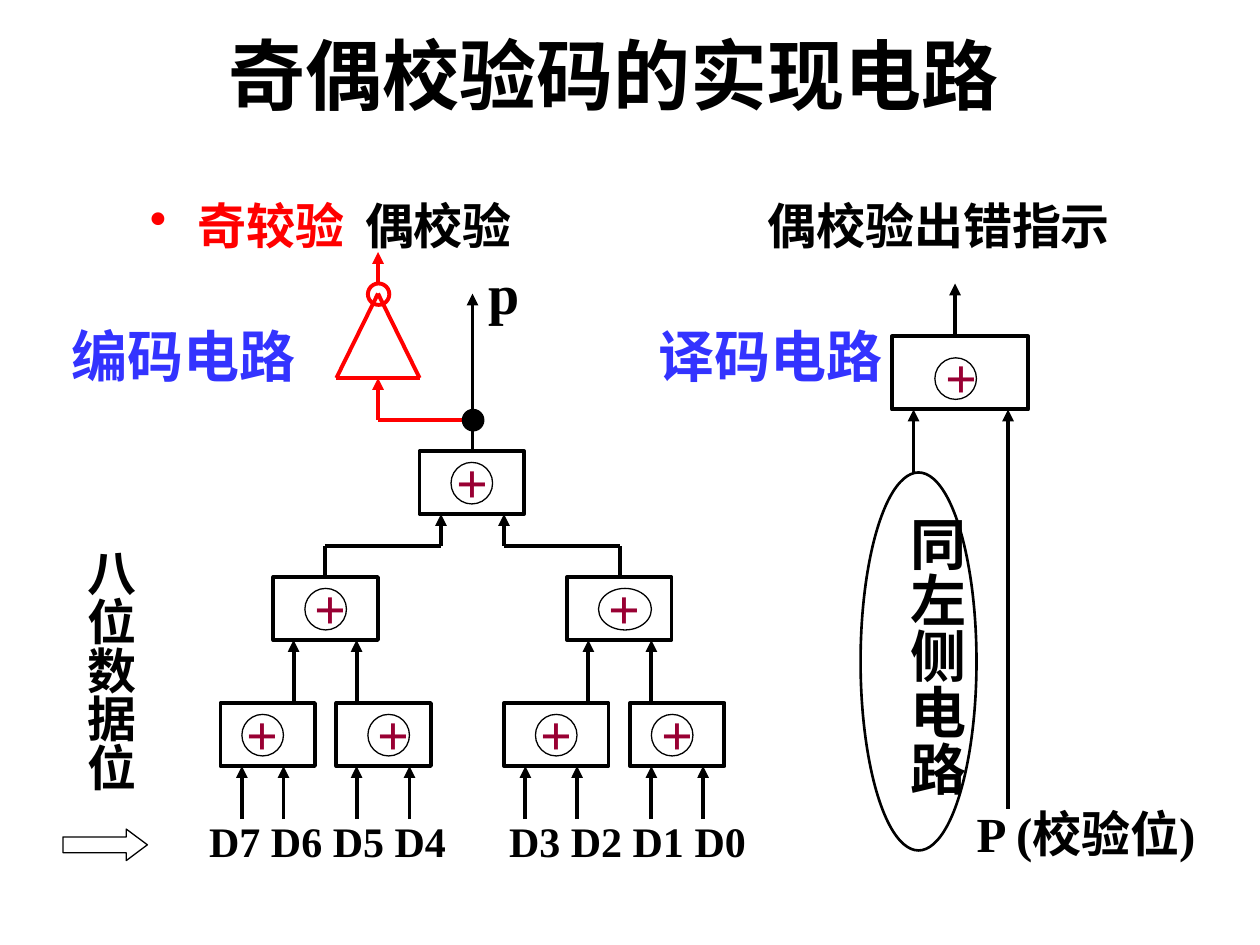
import itertools

import pptx
import pptx.dml.color
import pptx.enum.shapes
import pptx.enum.text
import pptx.oxml
import pptx.oxml.ns
import pptx.util
from pptx.util import Inches

COLORS = {"black": "000000", "red": "FF0000", "blue": "3333FF", "plus": "990033"}
FONT = "Times New Roman"
SHAPE = pptx.enum.shapes.MSO_SHAPE
qn = pptx.oxml.ns.qn

presentation = pptx.Presentation()
presentation.slide_width = Inches(10)
presentation.slide_height = Inches(7.5)
slide = presentation.slides.add_slide(presentation.slide_layouts[5])


def add_text(text, left, top, width, height, size, color="black", shape=None):
    """Write one centred bold paragraph, in a new text box unless a shape is given."""
    box = shape
    if box is None:
        box = slide.shapes.add_textbox(0, 0, 0, 0)
    box.left, box.top = Inches(left), Inches(top)
    box.width, box.height = Inches(width), Inches(height)
    box.text_frame.word_wrap = True
    paragraph = box.text_frame.paragraphs[0]
    paragraph.text = text
    paragraph.alignment = pptx.enum.text.PP_ALIGN.CENTER
    paragraph.font.name = FONT
    paragraph.font.size = pptx.util.Pt(size)
    paragraph.font.bold = True
    paragraph.font.color.rgb = pptx.dml.color.RGBColor.from_string(COLORS[color])
    return box


def add_wire(points, color="black", arrow=True):
    """Join the points with straight lines; the last one may end in an arrowhead."""
    for start, end in itertools.pairwise(points):
        line = slide.shapes.add_connector(
            pptx.enum.shapes.MSO_CONNECTOR.STRAIGHT,
            *(Inches(value) for value in start + end))
        line.line.width = pptx.util.Pt(2.25)
        line.line.color.rgb = pptx.dml.color.RGBColor.from_string(COLORS[color])
        properties = line.element.spPr
        if arrow and end == points[-1]:
            properties.find(qn("a:ln")).append(pptx.oxml.parse_xml(
                f'<a:tailEnd {pptx.oxml.ns.nsdecls("a")} type="triangle"/>'))
        properties.append(pptx.oxml.parse_xml(
            f'<a:effectLst {pptx.oxml.ns.nsdecls("a")}/>'))


# Title
title = add_text("奇偶校验码的实现电路", 1.5, 0.17, 6.75, 0.83, 44, shape=slide.shapes.title)
title.text_frame.vertical_anchor = pptx.enum.text.MSO_ANCHOR.MIDDLE

# Output labels: the first is a bullet
odd_label = add_text("", 1.09, 1.5, 1.75, 0.65, 28, "red")
paragraph = odd_label.text_frame.paragraphs[0]
paragraph.alignment = pptx.enum.text.PP_ALIGN.LEFT
properties = paragraph._p.get_or_add_pPr()
properties.set("marL", str(Inches(0.38)))
properties.set("indent", str(-Inches(0.38)))
bullet = pptx.oxml.parse_xml(
    f'<a:buChar {pptx.oxml.ns.nsdecls("a")} char="•"/>')
properties.insert(0, bullet)
paragraph.text = "奇较验"
add_text("偶校验", 2.73, 1.5, 1.5, 0.65, 28)
add_text("偶校验出错指示", 5.85, 1.5, 3.2, 0.65, 28)

# Outlined shapes: kind, left, top, width, height, line width, colour
outlines = [
    (SHAPE.OVAL, 2.92, 2.25, 0.17, 0.17, 2.25, "red"),
    (SHAPE.OVAL, 3.67, 3.25, 0.17, 0.17, 0.75, "black"),
    (SHAPE.OVAL, 6.83, 3.75, 0.92, 3, 1.5, "black"),
    (SHAPE.RIGHT_ARROW, 0.5, 6.58, 0.67, 0.25, 0.75, "black"),
]

# XOR gates: left, top, width, height, circle left, circle width, plus centre, plus top
gates = [
    (1.75, 5.58, 0.75, 0.5, 1.92, 0.33, 2.08, 5.5),
    (2.67, 5.58, 0.75, 0.5, 2.92, 0.33, 3.12, 5.5),
    (4, 5.58, 0.83, 0.5, 4.25, 0.33, 4.42, 5.5),
    (5, 5.58, 0.75, 0.5, 5.17, 0.33, 5.38, 5.5),
    (2.17, 4.58, 0.83, 0.5, 2.42, 0.33, 2.62, 4.5),
    (4.5, 4.58, 0.83, 0.5, 4.75, 0.42, 4.96, 4.5),
    (3.33, 3.58, 0.83, 0.5, 3.58, 0.33, 3.75, 3.5),
    (7.08, 2.67, 1.08, 0.58, 7.42, 0.33, 7.63, 2.67),
]
for left, top, width, height, circle_left, circle_width, plus_center, plus_top in gates:
    outlines.append((SHAPE.RECTANGLE, left, top, width, height, 2.25, "black"))
    outlines.append((SHAPE.OVAL, circle_left, plus_top + 0.17, circle_width, 0.33,
                     0.75, "black"))
    add_text("+", plus_center - 0.38, plus_top, 0.76, 0.64, 32, "plus")

# Wires into the gates
for x in (1.92, 2.25, 2.83, 3.25, 4.17, 4.58, 5.17, 5.58):
    add_wire([(x, 6.5), (x, 6.08)])
for x in (2.33, 2.83, 4.67, 5.17):
    add_wire([(x, 5.58), (x, 5.08)])
for start_x, end_x in ((2.58, 3.5), (4.92, 4)):
    add_wire([(start_x, 4.58), (start_x, 4.33), (end_x, 4.33), (end_x, 4.08)])
add_wire([(7.25, 3.75), (7.25, 3.25)])
add_wire([(8, 6.42), (8, 3.25)])

# Outputs and the inverter
add_wire([(3.75, 3.58), (3.75, 2.33)])
add_wire([(7.58, 2.67), (7.58, 2.25)])
add_wire([(3.75, 3.33), (3, 3.33), (3, 3)], "red")
add_wire([(3, 2.33), (2.67, 3), (3.33, 3), (3, 2.33)], "red", arrow=False)
add_wire([(3, 2.25), (3, 2)], "red")

for kind, left, top, width, height, line_width, color in outlines:
    shape = slide.shapes.add_shape(
        kind, Inches(left), Inches(top), Inches(width), Inches(height))
    shape.shadow.inherit = False
    shape.fill.background()
    shape.line.width = pptx.util.Pt(line_width)
    shape.line.color.rgb = pptx.dml.color.RGBColor.from_string(COLORS[color])
    if kind == SHAPE.RIGHT_ARROW:
        shape.adjustments[1] = 0.67
    # The junction dot is the only solid one
    if (left, top) == (3.67, 3.25):
        shape.fill.solid()
        shape.fill.fore_color.rgb = pptx.dml.color.RGBColor.from_string(COLORS["black"])

# Circuit names and signal labels
add_text("编码电路", 0.42, 2.5, 2.08, 0.64, 32, "blue")
add_text("译码电路", 5.08, 2.5, 2.08, 0.64, 32, "blue")
add_text("p", 3.75, 2, 0.5, 0.64, 32)
add_text("D7 D6 D5 D4", 1.4, 6.42, 2.4, 0.5, 24)
add_text("D3 D2 D1 D0", 3.78, 6.42, 2.4, 0.5, 24)
add_text("P (校验位)", 7.58, 6.33, 2.08, 1.04, 28)

# Vertical labels
for text, left, top, width, height, size in (
        ("同左侧电路", 7.02, 4, 0.73, 2.67, 32),
        ("八位数据位", 0.5, 4.25, 0.66, 2.58, 28)):
    label = add_text(text, left, top, width, height, size)
    frame = label.text_frame
    frame.margin_left = frame.margin_right = Inches(0.05)
    frame.margin_top = frame.margin_bottom = Inches(0.1)
    label.element.txBody.find(qn("a:bodyPr")).set("vert", "eaVert")

presentation.save("out.pptx")
